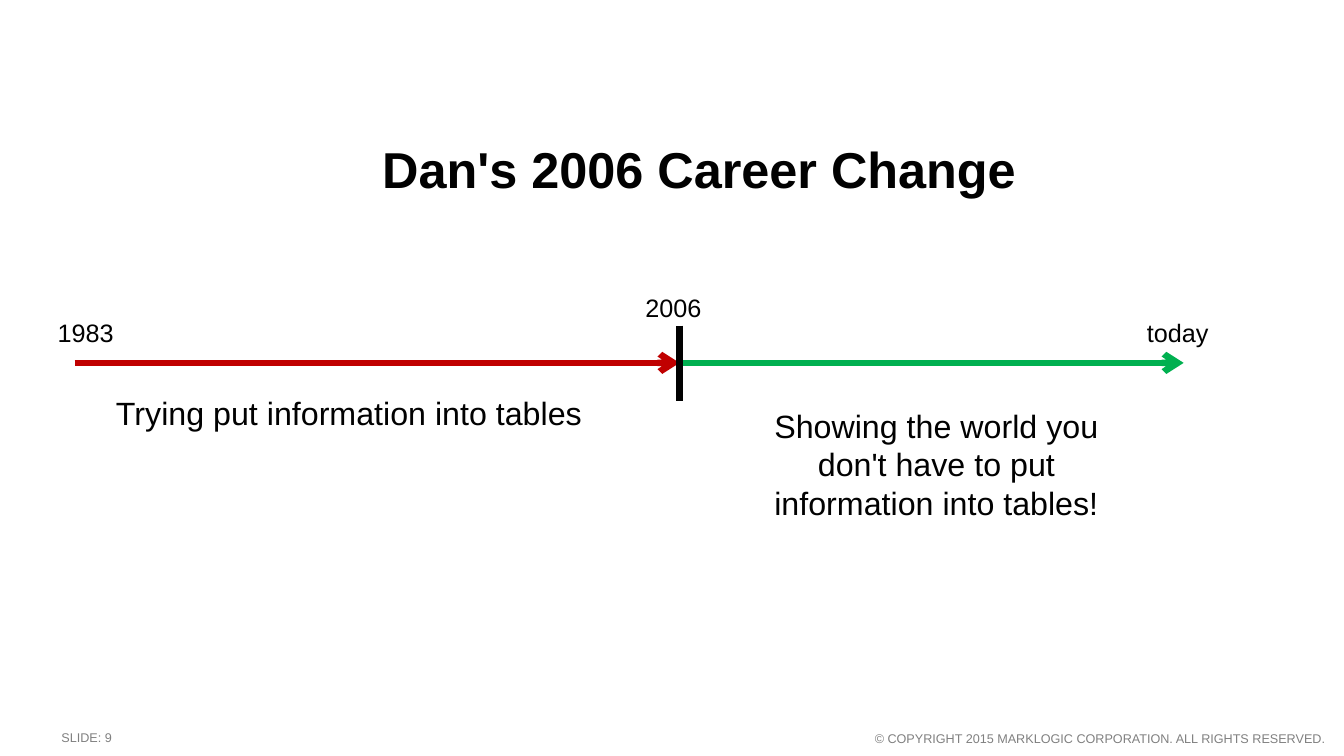
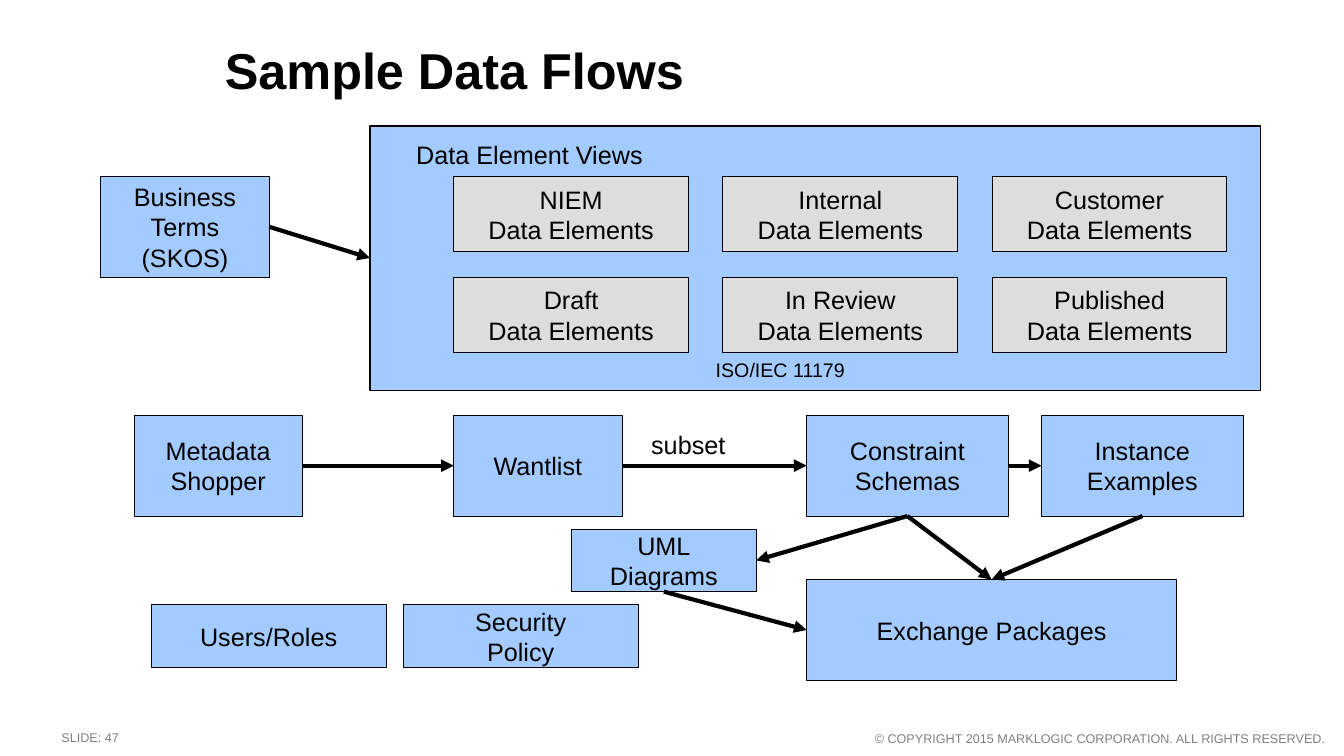
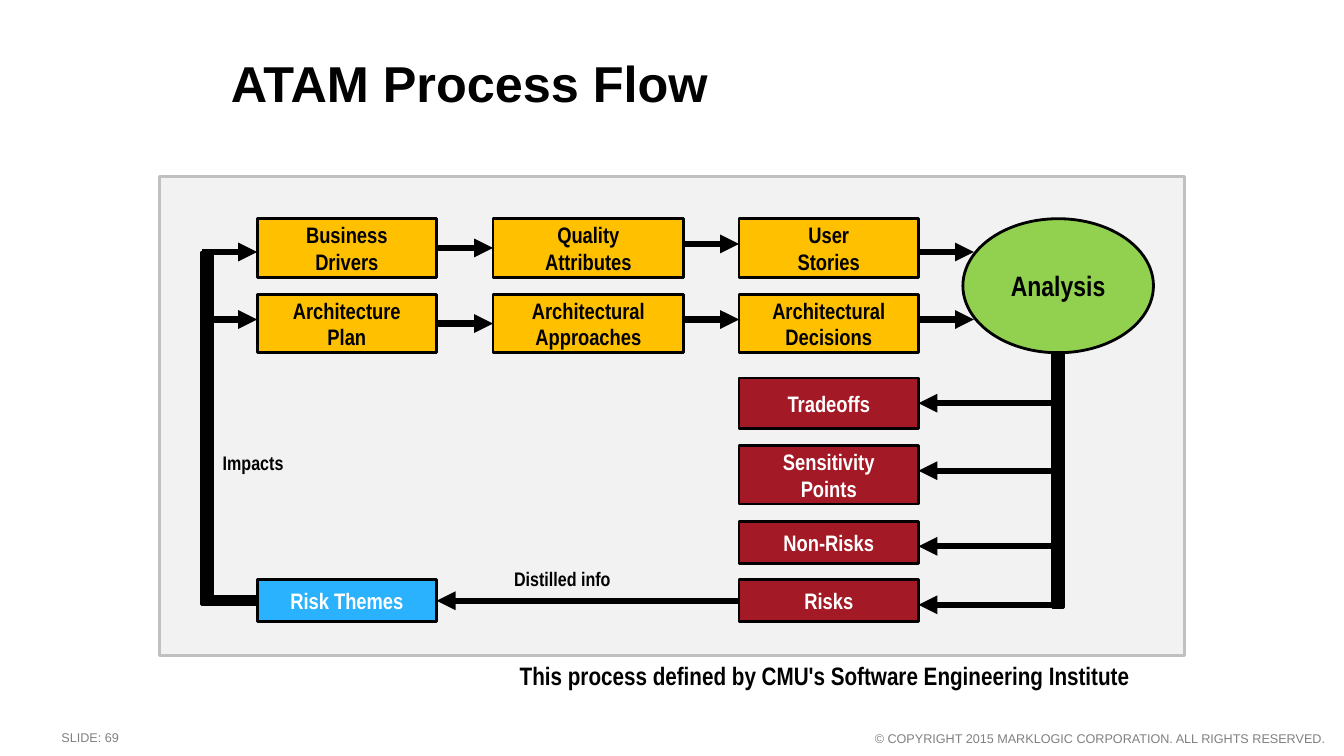
import pptx
import pptx.dml.color
import pptx.enum.shapes
import pptx.enum.text
import pptx.oxml
import pptx.oxml.ns
import pptx.util

Inches, Pt = pptx.util.Inches, pptx.util.Pt
SHAPE = pptx.enum.shapes.MSO_SHAPE
ALIGN = pptx.enum.text.PP_ALIGN
ANCHOR = pptx.enum.text.MSO_ANCHOR

INK, WHITE, FOOTER_GREY = "010101", "FFFFFF", "808080"
RED, GREEN = "C00000", "00B050"
BLUE, PALE_GREY = "A4CBFF", "DDDDDD"
PANEL, PANEL_EDGE = "F2F2F2", "C0C0C0"
AMBER, LIME, CRIMSON, SKY = "FFC000", "92D050", "A31925", "2BB2FF"

TITLE = {"name": "Arial", "size": Pt(36), "bold": True}
FOOTER = {"name": "Arial", "size": Pt(9)}
LABEL = {"name": "Arial", "size": Pt(18)}
SMALL_LABEL = {"name": "Arial", "size": Pt(14)}
STATEMENT = {"name": "Arial", "size": Pt(23)}
STEP = {"name": "Arial Narrow", "size": Pt(16), "bold": True}
ANALYSIS = {**STEP, "size": Pt(20)}
ARROW_LABEL = {**STEP, "size": Pt(14)}
CAPTION = {**STEP, "size": Pt(18)}

# Connection sites of a rectangle
TOP, LEFT, BOTTOM, RIGHT = range(4)


def rgb(value):
    return pptx.dml.color.RGBColor.from_string(value)


def write(frame, text, font, color=INK, align=ALIGN.LEFT):
    """Fill a text frame; a newline starts a paragraph, a vertical tab breaks a line."""
    frame.text = text
    for paragraph in frame.paragraphs:
        paragraph.alignment = align
        for run in paragraph.runs:
            for attribute, value in font.items():
                setattr(run.font, attribute, value)
            run.font.color.rgb = rgb(color)


def set_margins(frame, horizontal, vertical):
    for side in ("left", "right"):
        setattr(frame, f"margin_{side}", Inches(horizontal))
    for side in ("top", "bottom"):
        setattr(frame, f"margin_{side}", Inches(vertical))


def add_label(slide, at, text, font, wrap=False, **style):
    label = slide.shapes.add_textbox(*map(Inches, at))
    label.text_frame.word_wrap = wrap
    write(label.text_frame, text, font, **style)
    return label


def add_box(slide, at, fill, text="", font=LABEL, color=INK, edge=INK,
            edge_width=0.75, kind=SHAPE.RECTANGLE):
    box = slide.shapes.add_shape(kind, *map(Inches, at))
    box.shadow.inherit = False
    box.fill.solid()
    box.fill.fore_color.rgb = rgb(fill)
    box.line.color.rgb = rgb(edge)
    box.line.width = Pt(edge_width)
    if text:
        box.text_frame.word_wrap = False
        box.text_frame.vertical_anchor = ANCHOR.MIDDLE
        write(box.text_frame, text, font, color, ALIGN.CENTER)
    return box


def add_line(slide, start=(0, 0), end=(0, 0), color=INK, width=4.5, head="triangle"):
    line = slide.shapes.add_connector(
        pptx.enum.shapes.MSO_CONNECTOR.STRAIGHT, *map(Inches, (*start, *end)))
    line.line.color.rgb = rgb(color)
    line.line.width = Pt(width)
    if head:
        line.line._get_or_add_ln().append(pptx.oxml.parse_xml(
            f'<a:tailEnd {pptx.oxml.ns.nsdecls("a")} type="{head}"/>'))
    line._element.spPr.append(pptx.oxml.parse_xml(
        f'<a:effectLst {pptx.oxml.ns.nsdecls("a")}/>'))
    return line


def link(slide, source, source_site, target, target_site):
    """Join two boxes with an arrow glued to their connection sites."""
    arrow = add_line(slide, width=3)
    arrow.begin_connect(source, source_site)
    arrow.end_connect(target, target_site)


def add_slide(deck, title, title_at, number, align=ALIGN.LEFT):
    """Add a slide with the shared title style and footer."""
    slide = deck.slides.add_slide(deck.slide_layouts.get_by_name("Title Only"))
    heading = slide.shapes.title
    heading.left, heading.top, heading.width, heading.height = map(Inches, title_at)
    frame = heading.text_frame
    frame.auto_size = pptx.enum.text.MSO_AUTO_SIZE.NONE
    frame.vertical_anchor = ANCHOR.TOP
    set_margins(frame, 0.13, 0.06)
    write(frame, title, TITLE, align=align)
    frame.paragraphs[0].line_spacing = Pt(58)

    copyright_line = add_label(
        slide, (8.61, 7.25, 4.53, 0.15),
        "© COPYRIGHT 2015 MARKLOGIC CORPORATION. ALL RIGHTS RESERVED.",
        FOOTER, color=FOOTER_GREY, align=ALIGN.RIGHT)
    slide_number = add_label(slide, (0.61, 7.24, 5.53, 0.15), f"SLIDE: {number}",
                             FOOTER, wrap=True, color=FOOTER_GREY)
    for footer in (copyright_line, slide_number):
        set_margins(footer.text_frame, 0, 0)
    return slide


def build_career_change(deck):
    slide = add_slide(deck, "Dan's 2006 Career Change", (0.9, 1.1, 12.07, 1.06), 9,
                      ALIGN.CENTER)
    start, change, today, axis = 0.74, 6.74, 11.74, 3.6
    add_line(slide, (start, axis), (change, axis), RED, head="arrow")
    add_line(slide, (change, axis), (today, axis), GREEN, head="arrow")
    for at, text in (((0.47, 3.1, 0.76, 0.4), "1983"),
                     ((6.3, 2.85, 0.76, 0.4), "2006"),
                     ((11.27, 3.1, 0.82, 0.4), "today")):
        add_label(slide, at, text, LABEL, align=ALIGN.CENTER)
    add_label(slide, (0.99, 3.85, 4.95, 0.49), "Trying put information into tables",
              STATEMENT, align=ALIGN.CENTER)
    add_label(slide, (7.24, 3.98, 4.1, 1.26),
              "Showing the world you don't have to put information into tables!",
              STATEMENT, wrap=True, align=ALIGN.CENTER)
    add_line(slide, (change, 3.23), (change, 3.98), head=None)


def build_data_flows(deck):
    slide = add_slide(deck, "Sample Data Flows", (2.1, 0.12, 9.25, 1.08), 47)
    views = add_box(slide, (3.67, 1.25, 8.83, 2.62), BLUE)
    add_label(slide, (4.03, 1.33, 2.47, 0.4), "Data Element Views", LABEL)
    add_label(slide, (7, 3.5, 1.49, 0.34), "ISO/IEC 11179", SMALL_LABEL)
    view_rows = (("NIEM", "Internal", "Customer"), ("Draft", "In Review", "Published"))
    for row, names in enumerate(view_rows):
        for column, name in enumerate(names):
            add_box(slide, (4.5 + 2.67 * column, 1.75 + row, 2.33, 0.75), PALE_GREY,
                    f"{name}\nData Elements")

    terms = add_box(slide, (1, 1.75, 1.67, 1), BLUE, "Business\nTerms\n(SKOS)")
    shopper, wantlist, schemas, examples = (
        add_box(slide, (left, 4.12, width, 1), BLUE, text)
        for left, width, text in ((1.33, 1.67, "Metadata\vShopper"),
                                  (4.5, 1.67, "Wantlist"),
                                  (8, 2, "Constraint\nSchemas"),
                                  (10.33, 2, "Instance\nExamples")))
    packages = add_box(slide, (8, 5.75, 3.67, 1), BLUE, "Exchange Packages")
    diagrams = add_box(slide, (5.67, 5.25, 1.83, 0.62), BLUE, "UML\nDiagrams")
    add_box(slide, (1.5, 6, 2.33, 0.62), BLUE, "Users/Roles")
    add_box(slide, (4, 6, 2.33, 0.62), BLUE, "Security\nPolicy")
    add_label(slide, (6.36, 4.21, 0.95, 0.4), "subset", LABEL)

    for flow in ((terms, RIGHT, views, LEFT),
                 (shopper, RIGHT, wantlist, LEFT),
                 (wantlist, RIGHT, schemas, LEFT),
                 (schemas, RIGHT, examples, LEFT),
                 (schemas, BOTTOM, packages, TOP),
                 (examples, BOTTOM, packages, TOP),
                 (schemas, BOTTOM, diagrams, RIGHT),
                 (diagrams, BOTTOM, packages, LEFT)):
        link(slide, *flow)


def build_process_flow(deck):
    slide = add_slide(deck, "ATAM Process Flow", (2.16, 0.25, 11.07, 1.06), 69)
    add_box(slide, (1.58, 1.75, 10.17, 4.75), PANEL, edge=PANEL_EDGE, edge_width=2)

    columns = ((2.55, 1.78), (4.89, 1.89), (7.33, 1.78))
    first_left, first_width = columns[0]
    last_left, last_width = columns[2]
    first_right, last_right = first_left + first_width, last_left + last_width
    step_rows = (
        (2.17, ("Business\nDrivers", "Quality\nAttributes", "User\nStories")),
        (2.92, ("Architecture\vPlan", "Architectural\nApproaches",
                "Architectural\nDecisions")))
    for top, steps in step_rows:
        for (left, width), step in zip(columns, steps):
            add_box(slide, (left, top, width, 0.58), AMBER, step, STEP, edge_width=2)
    analysis = add_box(slide, (9.55, 2.17, 1.89, 1.33), LIME, "Analysis", ANALYSIS,
                       edge_width=2, kind=SHAPE.OVAL)
    set_margins(analysis.text_frame, 0, 0.05)

    for top, height, finding, arrow_y in ((3.75, 0.5, "Tradeoffs", 4),
                                          (4.42, 0.58, "Sensitivity\nPoints", 4.67),
                                          (5.17, 0.42, "Non-Risks", 5.42),
                                          (5.75, 0.42, "Risks", 6)):
        add_box(slide, (last_left, top, last_width, height), CRIMSON, finding, STEP,
                WHITE, edge_width=2)
        add_line(slide, (10.44, arrow_y), (last_right, arrow_y))
    add_box(slide, (first_left, 5.75, first_width, 0.42), SKY, "Risk Themes", STEP,
            WHITE, edge_width=2)

    for trunk in ((10.44, 3.5, 0.11, 2.53), (2, 2.5, 0.11, 3.42), (2, 5.92, 0.56, 0.08)):
        add_box(slide, trunk, INK, edge_width=2)
    for row_offset, outer_y in ((0, 2.5), (0.75, 3.17)):
        for start, end, y in ((2, first_left, outer_y),
                              (first_right, 4.89, 2.46 + row_offset),
                              (6.78, last_left, 2.42 + row_offset),
                              (last_right, 9.66, outer_y)):
            add_line(slide, (start, y), (end, y))
    add_line(slide, (last_left, 5.96), (first_right, 5.96))

    add_label(slide, (5, 5.58, 1.17, 0.34), "Distilled info", ARROW_LABEL)
    add_label(slide, (2.11, 4.42, 0.81, 0.34), "Impacts", ARROW_LABEL)
    add_label(slide, (5.02, 6.5, 6.32, 0.4),
              "This process defined by CMU's Software Engineering Institute",
              CAPTION, align=ALIGN.CENTER)


def main():
    deck = pptx.Presentation()
    deck.slide_width, deck.slide_height = Inches(13.33), Inches(7.5)
    build_career_change(deck)
    build_data_flows(deck)
    build_process_flow(deck)
    deck.save("out.pptx")


if __name__ == "__main__":
    main()
